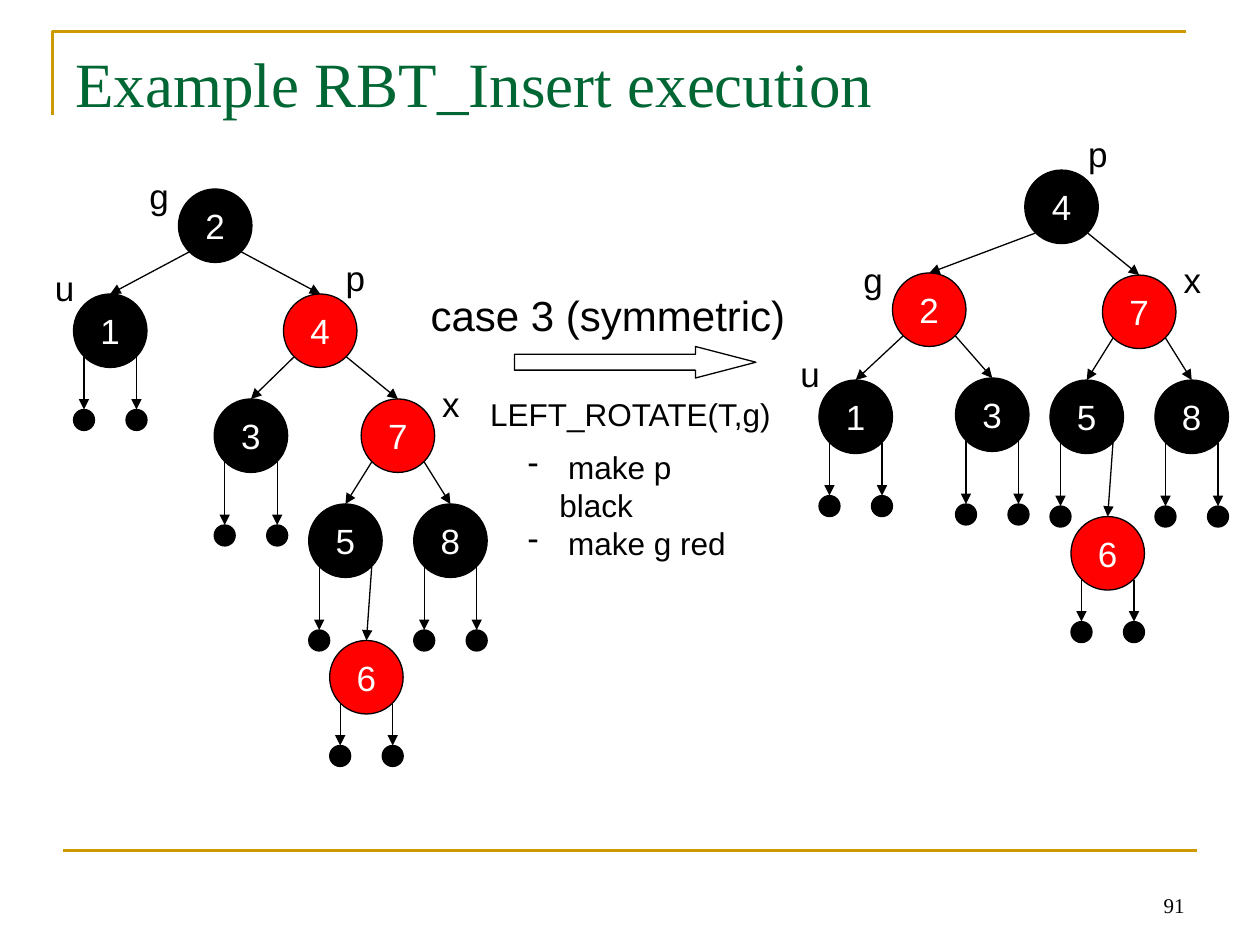
"""Build a slide showing a left rotation during a red-black tree insertion."""
from lxml import etree
from pptx import Presentation
from pptx.dml.color import RGBColor
from pptx.enum.shapes import MSO_CONNECTOR, MSO_SHAPE
from pptx.enum.text import MSO_ANCHOR, MSO_AUTO_SIZE, PP_ALIGN
from pptx.oxml.ns import qn
from pptx.util import Inches, Pt

STRAIGHT = MSO_CONNECTOR.STRAIGHT
OVAL, ARROW = MSO_SHAPE.OVAL, MSO_SHAPE.RIGHT_ARROW
TOP, MIDDLE, BOTTOM = MSO_ANCHOR.TOP, MSO_ANCHOR.MIDDLE, MSO_ANCHOR.BOTTOM
LEFT, CENTER, RIGHT = PP_ALIGN.LEFT, PP_ALIGN.CENTER, PP_ALIGN.RIGHT
GROW = MSO_AUTO_SIZE.SHAPE_TO_FIT_TEXT

THEME = {
    "black": "000000", "red": "FF0101", "white": "FFFFFF",
    "green": "006633", "gold": "CC9900",
    "sans": "Arial", "serif": "Times New Roman",
    "title": 36, "case": 24, "node": 20, "step": 18, "number": 12,
    "thin": 0.75, "rule": 1.5,
}

WIDTH, HEIGHT = Inches(10), Inches(7.5)
CELL = WIDTH / 120
NODE, LEAF, LEAF_GAP = 7, 2, 5
LEAF_DROP = {"1": 11, "3": 12, "5": 12, "8": 12, "6": 10}

BEFORE = {
    "nodes": {
        "2": (17, 18, "black"), "1": (7, 28, "black"), "4": (27, 28, "red"),
        "3": (20.4, 38, "black"), "7": (34.4, 38, "red"),
        "5": (29.4, 48, "black"), "8": (39.4, 48, "black"), "6": (31.4, 61, "red"),
    },
    "children": {"2": ("1", "4"), "4": ("3", "7"), "7": ("5", "8"), "5": (None, "6")},
    "labels": {"u": (4, 24.8), "g": (13, 16), "p": (31.7, 23.8), "x": (40.8, 35.8)},
}
AFTER = {
    "nodes": {
        "4": (97.6, 16.2, "black"), "2": (85, 26, "red"), "7": (105, 26.2, "red"),
        "1": (78, 36.2, "black"), "3": (91, 36, "black"),
        "5": (100, 36.2, "black"), "8": (110, 36.2, "black"), "6": (102, 49.2, "red"),
    },
    "children": {"4": ("2", "7"), "2": ("1", "3"), "7": ("5", "8"), "5": (None, "6")},
    "labels": {"u": (75, 33), "g": (81, 24), "p": (102.4, 12), "x": (111.4, 24)},
}
STEPS = [" make p black", " make g red"]


def color(name):
    return RGBColor.from_string(THEME[name])


def grid(*cells):
    return [round(c * CELL) for c in cells]


def write(tf, lines, size="node", font="sans", fill="black", align=CENTER,
          anchor=TOP, wrap=False, bullet=None):
    tf.word_wrap, tf.vertical_anchor = wrap, anchor
    for i, line in enumerate(lines):
        p = tf.add_paragraph() if i else tf.paragraphs[0]
        p.alignment = align
        if bullet:
            pPr = p._p.get_or_add_pPr()
            pPr.set("marL", str(Inches(0.25)))
            pPr.set("indent", str(-Inches(0.25)))
            etree.SubElement(pPr, qn("a:buChar")).set("char", bullet)
        r = p.add_run()
        r.text = line
        r.font.size, r.font.name = Pt(THEME[size]), THEME[font]
        r.font.color.rgb = color(fill)


def add_text(shapes, box, lines, grow=True, **fmt):
    tf = shapes.add_textbox(*grid(*box)).text_frame
    write(tf, lines, **fmt)
    tf.auto_size = GROW if grow else MSO_AUTO_SIZE.NONE


def outline(sp, line="black", width="thin", fill=None):
    sp.shadow.inherit = False
    sp.line.color.rgb, sp.line.width = color(line), Pt(THEME[width])
    if fill:
        sp.fill.solid()
        sp.fill.fore_color.rgb = color(fill)
    else:
        sp.fill.background()


def add_line(shapes, start, end, line="black", width="thin", arrow=True):
    c = shapes.add_connector(STRAIGHT, *grid(*start, *end))
    c.line.color.rgb, c.line.width = color(line), Pt(THEME[width])
    if arrow:
        etree.SubElement(c.line._get_or_add_ln(), qn("a:tailEnd")).set("type", "triangle")
    etree.SubElement(c._element.spPr, qn("a:effectLst"))


def add_disc(shapes, x, y, size, fill, key=None):
    sp = shapes.add_shape(OVAL, *grid(x, y, size, size))
    outline(sp, fill=fill)
    if key:
        tf = sp.text_frame
        tf.margin_left = tf.margin_right = tf.margin_top = tf.margin_bottom = 0
        write(tf, [key], fill="white", anchor=MIDDLE)


def add_tree(shapes, tree):
    nodes = tree["nodes"]
    for key, (x, y, fill) in nodes.items():
        add_disc(shapes, x, y, NODE, fill, key)
        for side, child in enumerate(tree["children"].get(key, (None, None))):
            start = (x + LEAF / 2 + side * LEAF_GAP, y + NODE - 1)
            if child:
                cx, cy, _ = nodes[child]
                end = (cx + NODE / 2, cy)
            else:
                end = (start[0], y + LEAF_DROP[key])
                add_disc(shapes, end[0] - LEAF / 2, end[1], LEAF, "black")
            add_line(shapes, start, end)
    for name, (x, y) in tree["labels"].items():
        add_text(shapes, (x, y, 4.3, 5.2), [name])


def main():
    prs = Presentation()
    prs.slide_width, prs.slide_height = WIDTH, HEIGHT
    shapes = prs.slides.add_slide(prs.slide_layouts[6]).shapes

    fb = shapes.build_freeform(*grid(5, 11))
    fb.add_line_segments([grid(5, 3), grid(113, 3)], close=False)
    outline(fb.convert_to_shape(), line="gold", width="rule")
    add_line(shapes, (6, 81), (114, 81), line="gold", width="rule", arrow=False)
    add_text(shapes, (86, 82, 28, 6), ["91"], grow=False, size="number",
             font="serif", align=RIGHT, anchor=BOTTOM, wrap=True)
    add_text(shapes, (6, 3.6, 108, 15), ["Example RBT_Insert execution"], grow=False,
             size="title", font="serif", fill="green", align=LEFT, wrap=True)

    sp = shapes.add_shape(ARROW, *grid(49, 33, 23, 3))
    sp.adjustments[0], sp.adjustments[1] = 0.5, 1.92
    outline(sp)
    add_text(shapes, (39.8, 27, 36.2, 6), ["case 3 (symmetric)"], size="case")
    add_text(shapes, (45.1, 37, 29.9, 4.8), ["LEFT_ROTATE(T,g)"], size="step")
    add_text(shapes, (49.1, 42.1, 22, 8.4), STEPS, size="step", align=LEFT,
             wrap=True, bullet="-")

    for tree in (BEFORE, AFTER):
        add_tree(shapes, tree)
    prs.save("out.pptx")


if __name__ == "__main__":
    main()
